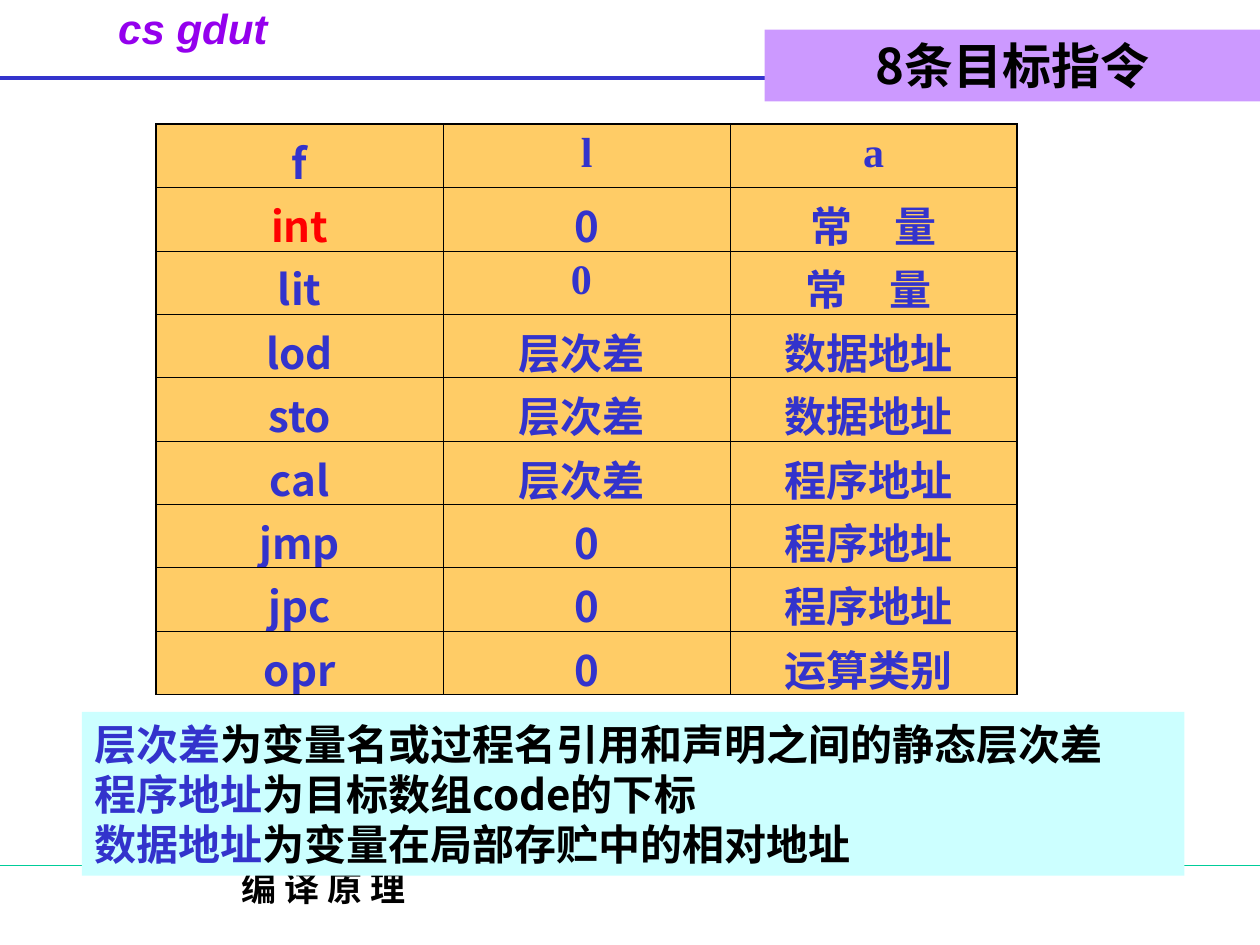
from dataclasses import dataclass

import pptx
import pptx.dml.color
import pptx.enum.shapes
import pptx.enum.text
import pptx.oxml.ns
import pptx.util
from lxml import etree

Pt = pptx.util.Pt
RGBColor = pptx.dml.color.RGBColor
PP_ALIGN = pptx.enum.text.PP_ALIGN
qn = pptx.oxml.ns.qn

BLUE = RGBColor(0x33, 0x33, 0xCC)
RED = RGBColor(0xFF, 0x00, 0x00)
BLACK = RGBColor(0x00, 0x00, 0x00)
PURPLE = RGBColor(0x94, 0x00, 0xED)
GREEN = RGBColor(0x00, 0xCC, 0x99)
LILAC = RGBColor(0xCC, 0x99, 0xFF)
PALE_CYAN = RGBColor(0xCC, 0xFF, 0xFF)
ORANGE = RGBColor(0xFF, 0xCC, 0x66)

SANS = "Noto Sans CJK SC"
SERIF = "Times New Roman"
THIN, THICK = 0.45, 1.08

SLIDE_WIDTH, SLIDE_HEIGHT = 720, 540


@dataclass(frozen=True)
class Box:
    left: float
    top: float
    width: float
    height: float

    def lengths(self) -> tuple:
        return Pt(self.left), Pt(self.top), Pt(self.width), Pt(self.height)


@dataclass(frozen=True)
class Span:
    text: str
    size: float = 24
    color: RGBColor = BLUE
    font: str = SANS
    italic: bool = False


INSTRUCTIONS = [
    [Span("f"), Span("l", font=SERIF), Span("a", font=SERIF)],
    [Span("int", color=RED), Span("0"), Span("常　量")],
    [Span("lit"), Span("0 ", font=SERIF), Span("常　量 ")],
    [Span("lod"), Span("层次差 "), Span("数据地址 ")],
    [Span("sto"), Span("层次差 "), Span("数据地址 ")],
    [Span("cal"), Span("层次差 "), Span("程序地址 ")],
    [Span("jmp"), Span("0"), Span("程序地址 ")],
    [Span("jpc"), Span("0"), Span("程序地址 ")],
    [Span("opr"), Span("0"), Span("运算类别 ")],
]

DEFINITIONS = [
    [Span("层次差"), Span("为变量名或过程名引用和声明之间的静态层次差", color=BLACK)],
    [Span("程序地址"), Span("为目标数组code的下标", color=BLACK)],
    [Span("数据地址"), Span("为变量在局部存贮中的相对地址", color=BLACK)],
]


def write(frame, lines: list[list[Span]], align=PP_ALIGN.LEFT) -> None:
    for index, spans in enumerate(lines):
        paragraph = frame.paragraphs[0] if index == 0 else frame.add_paragraph()
        paragraph.alignment = align
        for span in spans:
            run = paragraph.add_run()
            run.text = span.text
            run.font.size = Pt(span.size)
            run.font.bold = True
            run.font.italic = span.italic
            run.font.color.rgb = span.color
            run.font.name = span.font
            east_asian = etree.SubElement(run.font._element, qn("a:ea"))
            east_asian.set("typeface", SANS)


def add_label(slide, box: Box, span: Span, align=PP_ALIGN.LEFT, wrap: bool = True) -> None:
    frame = slide.shapes.add_textbox(*box.lengths()).text_frame
    frame.word_wrap = wrap
    write(frame, [[span]], align)


def add_panel(slide, box: Box, fill: RGBColor, lines: list[list[Span]], align=PP_ALIGN.LEFT) -> None:
    panel = slide.shapes.add_shape(pptx.enum.shapes.MSO_SHAPE.RECTANGLE, *box.lengths())
    panel.shadow.inherit = False
    panel.fill.solid()
    panel.fill.fore_color.rgb = fill
    panel.line.fill.background()
    panel.text_frame.word_wrap = True
    panel.text_frame.vertical_anchor = pptx.enum.text.MSO_ANCHOR.TOP
    write(panel.text_frame, lines, align)


def add_rule(slide, y: float, color: RGBColor, weight: float) -> None:
    """Draw a horizontal line across the whole slide."""
    rule = slide.shapes.add_connector(
        pptx.enum.shapes.MSO_CONNECTOR.STRAIGHT, Pt(0), Pt(y), Pt(SLIDE_WIDTH), Pt(y))
    rule.line.color.rgb = color
    rule.line.width = Pt(weight)
    etree.SubElement(rule._element.spPr, qn("a:effectLst"))


def set_borders(cell, weights: dict[str, float]) -> None:
    properties = cell._tc.get_or_add_tcPr()
    for position, (side, weight) in enumerate(weights.items()):
        border = etree.Element(qn(f"a:{side}"), w=str(int(Pt(weight))))
        fill = etree.SubElement(border, qn("a:solidFill"))
        etree.SubElement(fill, qn("a:srgbClr"), val=str(BLACK))
        properties.insert(position, border)


def add_instruction_table(slide, box: Box, rows: list[list[Span]]) -> None:
    last_row, last_column = len(rows) - 1, len(rows[0]) - 1
    table = slide.shapes.add_table(len(rows), len(rows[0]), *box.lengths()).table
    table.first_row = table.horz_banding = False
    for r, row in enumerate(rows):
        for c, span in enumerate(row):
            cell = table.cell(r, c)
            cell.fill.solid()
            cell.fill.fore_color.rgb = ORANGE
            set_borders(cell, {
                "lnL": THICK if c == 0 else THIN,
                "lnR": THICK if c == last_column else THIN,
                "lnT": THICK if r == 0 else THIN,
                "lnB": THICK if r == last_row else THIN,
            })
            write(cell.text_frame, [[span]], PP_ALIGN.CENTER)


def main() -> None:
    deck = pptx.Presentation()
    deck.slide_width, deck.slide_height = Pt(SLIDE_WIDTH), Pt(SLIDE_HEIGHT)
    slide = deck.slides.add_slide(deck.slide_layouts[6])

    add_label(slide, Box(13.7, -2.2, 193, 44.6),
              Span("cs gdut", color=PURPLE, font="Arial", italic=True),
              PP_ALIGN.CENTER, wrap=False)
    add_rule(slide, 44.6, BLUE, 2.25)
    add_label(slide, Box(36, 491.8, 298, 36),
              Span("编 译 原 理", size=20, color=BLACK, font=SERIF), PP_ALIGN.CENTER)
    add_rule(slide, 494.6, GREEN, 0.75)
    add_instruction_table(slide, Box(89.3, 71, 492, 326), INSTRUCTIONS)
    add_panel(slide, Box(437, 17, 283, 41), LILAC,
              [[Span("8条目标指令", size=28, color=BLACK)]], PP_ALIGN.CENTER)
    add_panel(slide, Box(46.8, 406.8, 630, 93.6), PALE_CYAN, DEFINITIONS)
    deck.save("out.pptx")


if __name__ == "__main__":
    main()
